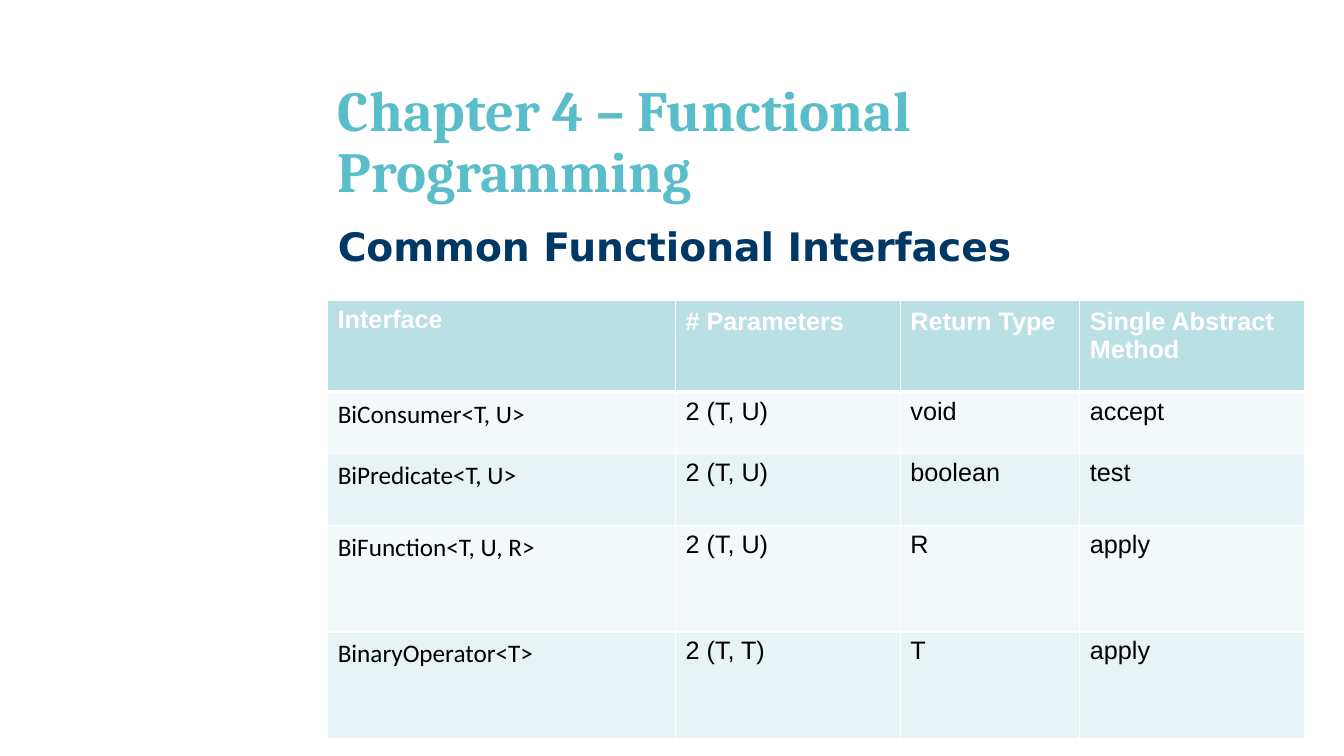
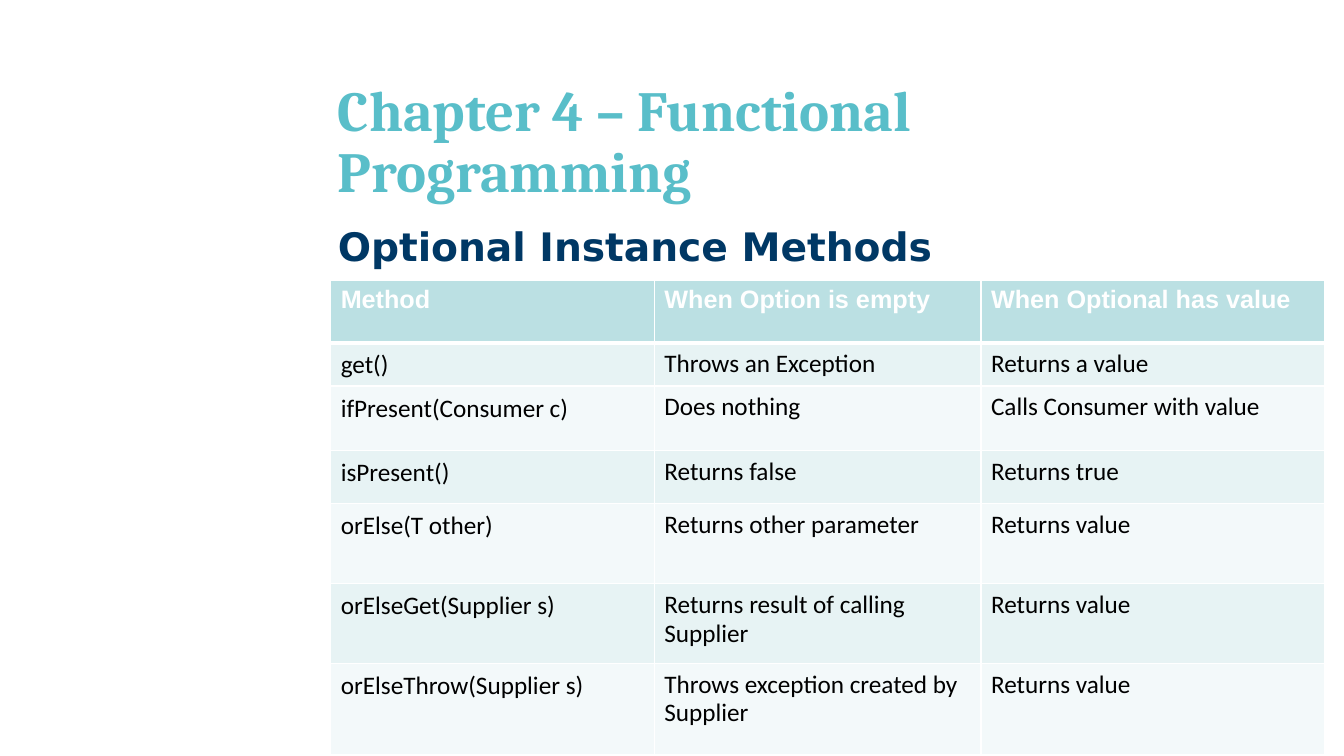
import itertools

import lxml.etree
import pptx
import pptx.dml.color
import pptx.enum.text
import pptx.oxml.ns
import pptx.util

Inches = pptx.util.Inches
Pt = pptx.util.Pt
RGBColor = pptx.dml.color.RGBColor

WHITE = RGBColor(0xFF, 0xFF, 0xFF)
BLACK = RGBColor(0x00, 0x00, 0x00)
TURQUOISE = RGBColor(0x59, 0xBE, 0xC9)
NAVY = RGBColor(0x00, 0x38, 0x65)
HEADER_FILL = RGBColor(0xBB, 0xE0, 0xE3)
PALE_BAND = RGBColor(0xF3, 0xF9, 0xFA)
TINTED_BAND = RGBColor(0xE7, 0xF3, 0xF4)

CHAPTER = "Chapter 4 – Functional Programming"
THIN_BORDER, THICK_BORDER = 0.91, 2.95
TIGHT = 0.93


def write_text(frame, text, *, size=18, font="Calibri", color=BLACK, bold=False,
               spacing=1.0, before=0):
    para = frame.paragraphs[0]
    para.alignment = pptx.enum.text.PP_ALIGN.LEFT
    para.line_spacing = spacing
    para.space_before = Pt(before)
    span = para.add_run()
    span.text = text
    span.font.size = Pt(size)
    span.font.name = font
    span.font.color.rgb = color
    span.font.bold = bold
    return para


def add_child(parent, tag, **attributes):
    return lxml.etree.SubElement(parent, pptx.oxml.ns.qn(tag), attributes)


class TableDeck:
    """Holds the deck, its shared style and the current slide."""

    def __init__(self):
        self.deck = pptx.Presentation()
        self.deck.slide_width = Inches(13.33)
        self.deck.slide_height = Inches(7.5)
        self.slide = None

    def add_slide(self, heading):
        self.slide = self.deck.slides.add_slide(self.deck.slide_layouts[1])
        self.fill_placeholder(0, CHAPTER, top=1, height=0.85, anchor="MIDDLE",
                              size=40.5, font="Cambria", color=TURQUOISE)
        para = self.fill_placeholder(1, heading, top=2.21, height=0.57, anchor="TOP",
                                     size=28, font="DejaVu Sans", color=NAVY, before=10)
        properties = para._p.get_or_add_pPr()
        properties.set("marL", "0")
        properties.set("indent", "0")
        add_child(properties, "a:buNone")

    def fill_placeholder(self, index, text, *, top, height, anchor, **text_format):
        box = self.slide.placeholders[index]
        box.left, box.top = Inches(3.25), Inches(top)
        box.width, box.height = Inches(9.17), Inches(height)
        frame = box.text_frame
        frame.word_wrap = True
        frame.auto_size = pptx.enum.text.MSO_AUTO_SIZE.NONE
        frame.vertical_anchor = pptx.enum.text.MSO_ANCHOR[anchor]
        return write_text(frame, text, bold=True, spacing=0.9, **text_format)

    def add_table(self, rows, *, left, top, widths, heights, bands, value_font,
                  header_spacing):
        """Add a table with a header row, whose body rows alternate between bands."""
        table = self.slide.shapes.add_table(
            len(rows), len(widths), Inches(left), Inches(top),
            Inches(sum(widths)), Inches(sum(heights))).table
        for column, width in zip(table.columns, widths):
            column.width = Inches(width)
        for row, height in zip(table.rows, heights):
            row.height = Inches(height)
        fills = itertools.chain([HEADER_FILL], itertools.cycle(bands))
        for row_index, (texts, fill) in enumerate(zip(rows, fills)):
            for column_index, text in enumerate(texts):
                cell = table.cell(row_index, column_index)
                self.style_cell(cell, row_index, fill)
                first = column_index == 0
                if row_index == 0:
                    write_text(cell.text_frame, text, font="Arial", color=WHITE, bold=True,
                               spacing=TIGHT if first else header_spacing)
                else:
                    write_text(cell.text_frame, text,
                               font="Calibri" if first else value_font,
                               spacing=1.0 if first else TIGHT)

    def style_cell(self, cell, row_index, fill):
        cell.margin_left = cell.margin_right = Inches(0.1)
        cell.margin_top, cell.margin_bottom = Inches(0.07), Inches(0.05)
        borders = {"L": THIN_BORDER, "R": THIN_BORDER,
                   "T": THICK_BORDER if row_index == 1 else THIN_BORDER,
                   "B": THICK_BORDER if row_index == 0 else THIN_BORDER}
        properties = cell._tc.get_or_add_tcPr()
        for side, width in borders.items():
            line = add_child(properties, f"a:ln{side}", w=str(int(Pt(width))))
            add_child(add_child(line, "a:solidFill"), "a:srgbClr", val=str(WHITE))
        cell.fill.solid()
        cell.fill.fore_color.rgb = fill


def main():
    builder = TableDeck()

    builder.add_slide("Common Functional Interfaces")
    builder.add_table(
        [("Interface", "# Parameters", "Return Type", "Single Abstract Method"),
         ("BiConsumer<T, U>", "2 (T, U)", "void", "accept"),
         ("BiPredicate<T, U>", "2 (T, U)", "boolean", "test"),
         ("BiFunction<T, U, R>", "2 (T, U)", "R", "apply"),
         ("BinaryOperator<T>", "2 (T, T)", "T", "apply")],
        left=3.25, top=2.98, widths=(3.45, 2.23, 1.78, 2.23),
        heights=(0.91, 0.61, 0.71, 1.06, 1.06), bands=(PALE_BAND, TINTED_BAND),
        value_font="Arial", header_spacing=1.0)

    builder.add_slide("Optional Instance Methods")
    builder.add_table(
        [("Method", "When Option is empty", "When Optional has value"),
         ("get()", "Throws an Exception", "Returns a value"),
         ("ifPresent(Consumer c)", "Does nothing", "Calls Consumer with value"),
         ("isPresent()", "Returns false", "Returns true"),
         ("orElse(T other)", "Returns other parameter", "Returns value"),
         ("orElseGet(Supplier s)", "Returns result of calling Supplier", "Returns value"),
         ("orElseThrow(Supplier s)", "Throws exception created by Supplier",
          "Returns value")],
        left=3.28, top=2.78, widths=(3.21, 3.24, 3.41),
        heights=(0.62, 0.43, 0.64, 0.53, 0.79, 0.79, 0.91),
        bands=(TINTED_BAND, PALE_BAND), value_font="Calibri", header_spacing=TIGHT)

    builder.deck.save("out.pptx")


if __name__ == "__main__":
    main()
